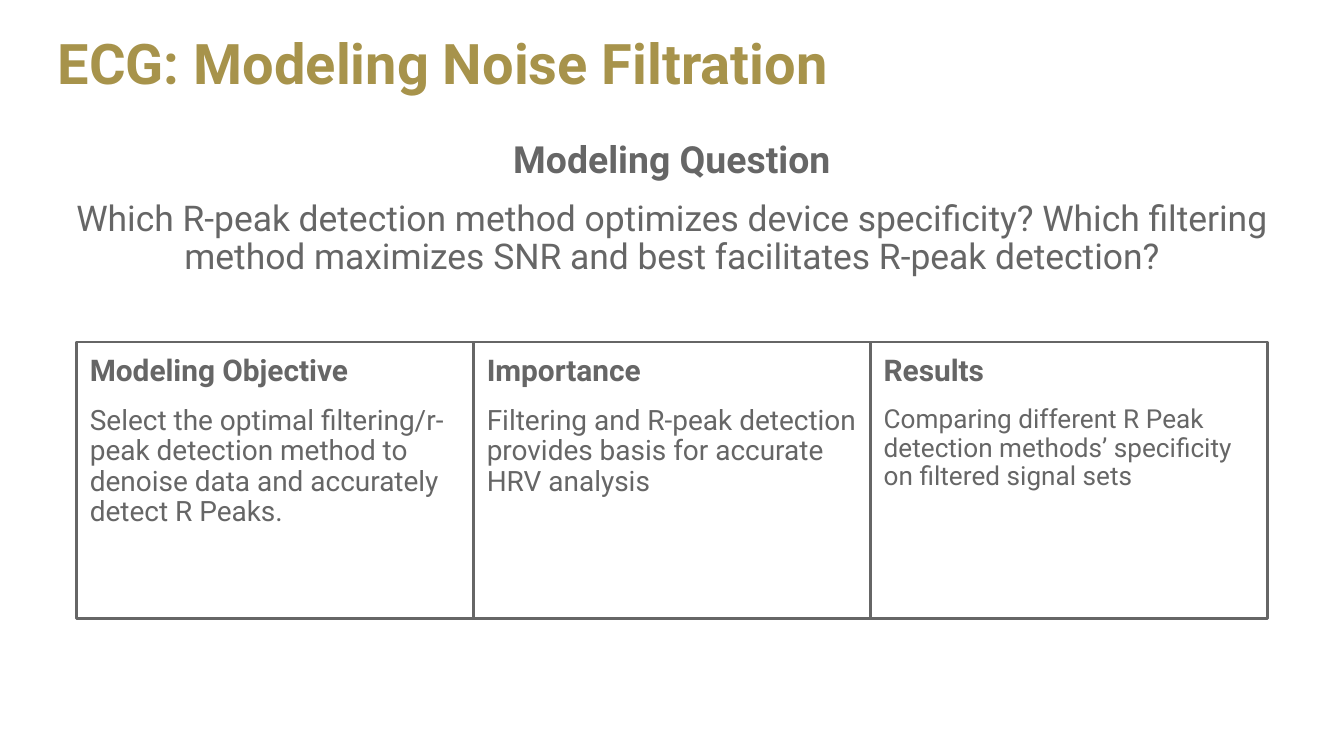
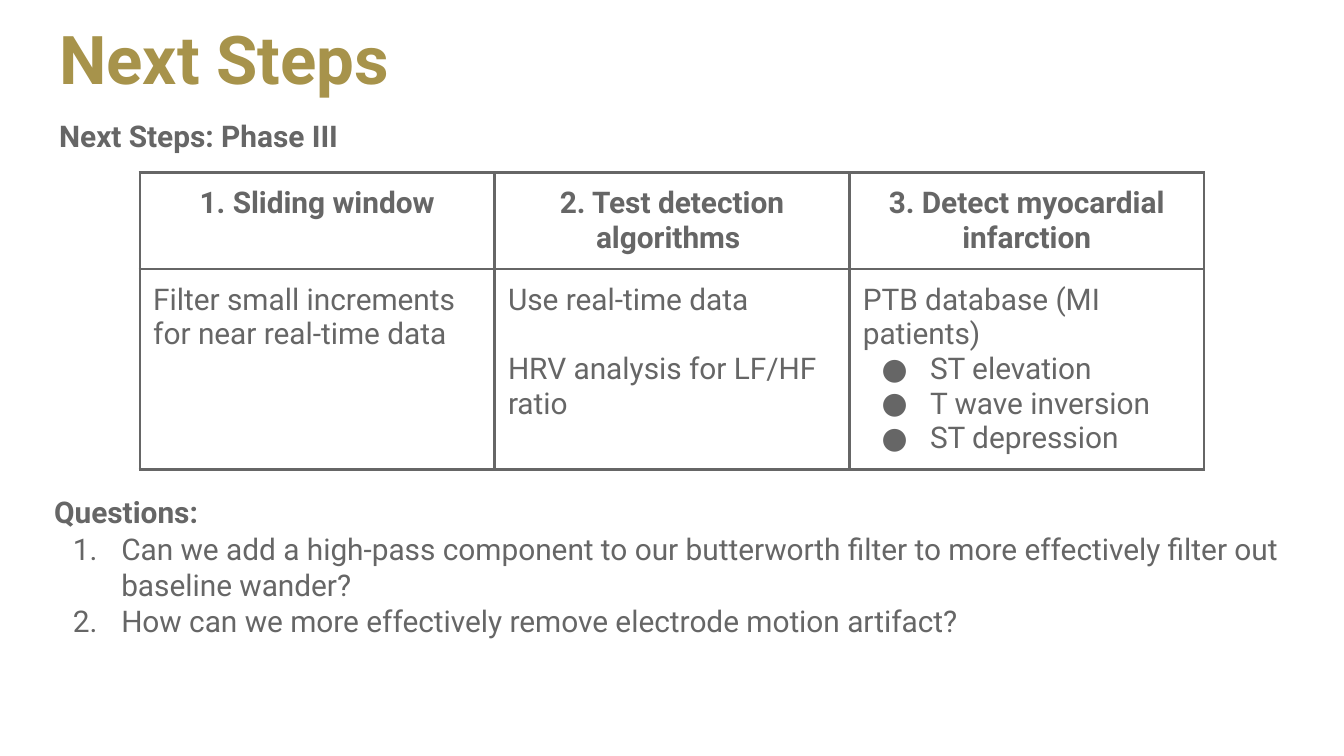
import dataclasses

import lxml.etree
import pptx
import pptx.dml.color
import pptx.enum.shapes
import pptx.enum.text
import pptx.oxml.ns
import pptx.util

ALIGN = pptx.enum.text.PP_ALIGN
ANCHOR = pptx.enum.text.MSO_ANCHOR


@dataclasses.dataclass(frozen=True)
class Theme:
    """Colours, type and spacing shared by the slides."""
    font: str = "Roboto"
    gold: str = "A7934B"
    gray: str = "666666"
    title: int = 30
    title_large: int = 36
    question: int = 20
    question_body: int = 19
    text: int = 16
    card_body: int = 15
    card_small: int = 14
    line: float = 1.5
    inset: float = 0.1
    tight: float = 0.9
    gap: int = 10


@dataclasses.dataclass(frozen=True)
class Box:
    """A region measured in columns and rows of the slide grid."""
    left: float
    top: float
    width: float
    height: float

    def columns(self, count):
        """Split the region into equal columns."""
        width = self.width / count
        return [Box(self.left + index * width, self.top, width, self.height)
                for index in range(count)]

    def lengths(self):
        """Return left, top, width and height as slide lengths."""
        return [pptx.util.Inches(value * GRID)
                for value in (self.left, self.top, self.width, self.height)]


@dataclasses.dataclass(frozen=True)
class Line:
    """One paragraph and how it is set."""
    text: str
    size: int
    bold: bool = False
    align: ALIGN = ALIGN.LEFT
    spacing: float = 1.0
    before: float = 0
    bullet: str = ""
    color: str = ""


THEME = Theme()
GRID = 0.1
PAGE = Box(0, 0, 100, 100 * 9 / 16)


def rgb(value):
    """Turn a hex string into a colour."""
    return pptx.dml.color.RGBColor.from_string(value)


def add_element(parent, tag, **attributes):
    """Append a drawing element with attributes."""
    return lxml.etree.SubElement(parent, pptx.oxml.ns.qn(tag), attributes)


def set_bullet(paragraph, bullet):
    """Give a paragraph a hanging bullet or an automatic number."""
    properties = paragraph._p.get_or_add_pPr()
    properties.set("marL", str(pptx.util.Inches(0.5)))
    properties.set("indent", str(pptx.util.Inches(-0.36)))
    add_element(add_element(properties, "a:buClr"), "a:srgbClr", val=THEME.gray)
    add_element(properties, "a:buFont", typeface=THEME.font)
    if bullet == "1.":
        add_element(properties, "a:buAutoNum", type="arabicPeriod")
    else:
        add_element(properties, "a:buChar", char=bullet)


def write_lines(text_frame, lines):
    """Write each line as a paragraph with one run."""
    for index, line in enumerate(lines):
        paragraph = text_frame.add_paragraph() if index else text_frame.paragraphs[0]
        if line.bullet:
            set_bullet(paragraph, line.bullet)
        paragraph.alignment = line.align
        paragraph.line_spacing = line.spacing
        paragraph.space_before = pptx.util.Pt(line.before)
        run = paragraph.add_run()
        run.text = line.text
        run.font.name = THEME.font
        run.font.size = pptx.util.Pt(line.size)
        run.font.bold = line.bold
        run.font.color.rgb = rgb(line.color or THEME.gray)


def fill_frame(text_frame, lines, inset, anchor=ANCHOR.TOP):
    """Set up a wrapping text frame and write its lines."""
    text_frame.word_wrap = True
    text_frame.auto_size = pptx.enum.text.MSO_AUTO_SIZE.NONE
    text_frame.vertical_anchor = anchor
    text_frame.margin_left = text_frame.margin_right = pptx.util.Inches(THEME.inset)
    text_frame.margin_top = text_frame.margin_bottom = pptx.util.Inches(inset)
    write_lines(text_frame, lines)


def add_titled_slide(presentation, box, text, size):
    """Add a slide and format its title placeholder."""
    slide = presentation.slides.add_slide(presentation.slide_layouts[5])
    title = slide.shapes.title
    title.left, title.top, title.width, title.height = box.lengths()
    line = Line(text, size, True, spacing=THEME.tight, color=THEME.gold)
    fill_frame(title.text_frame, [line], THEME.inset / 2, ANCHOR.MIDDLE)
    return slide


def add_text(slide, box, lines, inset=THEME.inset / 2):
    """Add a plain text box."""
    fill_frame(slide.shapes.add_textbox(*box.lengths()).text_frame, lines, inset)


def add_cards(slide, box, cards):
    """Add a row of equal outlined cards with a heading and a body."""
    for card_box, (heading, body, size) in zip(box.columns(len(cards)), cards):
        card = slide.shapes.add_shape(
            pptx.enum.shapes.MSO_SHAPE.RECTANGLE, *card_box.lengths())
        card.shadow.inherit = False
        card.fill.background()
        card.line.color.rgb = rgb(THEME.gray)
        card.line.width = pptx.util.Pt(THEME.line)
        fill_frame(card.text_frame, [
            Line(heading, THEME.text, True, spacing=THEME.tight),
            Line(body, size, spacing=THEME.tight, before=THEME.gap),
        ], THEME.inset)


def set_borders(cell):
    """Draw all four borders of a table cell."""
    properties = cell._tc.get_or_add_tcPr()
    for side in ("a:lnL", "a:lnR", "a:lnT", "a:lnB"):
        border = add_element(properties, side, w=str(pptx.util.Pt(THEME.line)))
        add_element(add_element(border, "a:solidFill"), "a:srgbClr", val=THEME.gray)


def add_steps_table(slide, box, heights, rows):
    """Add a bordered table from rows of cell lines."""
    table = slide.shapes.add_table(len(rows), len(rows[0]), *box.lengths()).table
    table.first_row = table.horz_banding = False
    for row, height, cells in zip(table.rows, heights, rows):
        row.height = pptx.util.Inches(height * GRID)
        for cell, lines in zip(row.cells, cells):
            set_borders(cell)
            cell.fill.background()
            cell.margin_left = cell.margin_right = pptx.util.Inches(THEME.inset)
            cell.margin_top = cell.margin_bottom = pptx.util.Inches(THEME.inset)
            write_lines(cell.text_frame, lines)


def build_modeling_slide(presentation):
    """Build the slide on the modeling question."""
    slide = add_titled_slide(presentation, Box(3.3, 1.7, 93.5, 6.5),
                             "ECG: Modeling Noise Filtration", THEME.title)
    add_text(slide, Box(3.25, 10.05, 93.5, 39.6), [
        Line("Modeling Question", THEME.question, True, ALIGN.CENTER, THEME.tight),
        Line("Which R-peak detection method optimizes device specificity? "
             "Which filtering method maximizes SNR and best facilitates "
             "R-peak detection?", THEME.question_body, False, ALIGN.CENTER,
             THEME.tight, THEME.gap),
    ])
    add_cards(slide, Box(5.7, 25.45, 88.6, 20.6), [
        ("Modeling Objective",
         "Select the optimal filtering/r-peak detection method to denoise data "
         "and accurately detect R Peaks.", THEME.card_body),
        ("Importance",
         "Filtering and R-peak detection provides basis for accurate HRV analysis",
         THEME.card_body),
        ("Results",
         "Comparing different R Peak detection methods’ specificity on filtered "
         "signal sets", THEME.card_small),
    ])


def build_next_steps_slide(presentation):
    """Build the slide on next steps and open questions."""
    slide = add_titled_slide(presentation, Box(3.4, 1.5, 93.2, 6.3),
                             "Next Steps", THEME.title_large)
    size = THEME.text
    add_text(slide, Box(3.42, 7.75, 77, 4.1),
             [Line("Next Steps: Phase III", size, True)], THEME.inset)
    headings = ("1. Sliding window", "2. Test detection algorithms ",
                "3. Detect myocardial infarction")
    findings = ("ST elevation", "T wave inversion", "ST depression")
    add_steps_table(slide, Box(10.4, 12.85, 79.2, 22), (7.1, 14.9), [
        [[Line(heading, size, True, ALIGN.CENTER)] for heading in headings],
        [
            [Line("Filter small increments for near real-time data", size)],
            [Line("Use real-time data", size),
             Line("HRV analysis for LF/HF ratio", size, before=18.75)],
            [Line("PTB database (MI patients)", size),
             *(Line(finding, size, bullet="●") for finding in findings)],
        ],
    ])
    questions = (
        "Can we add a high-pass component to our butterworth filter to more "
        "effectively filter out baseline wander?",
        "How can we more effectively remove electrode motion artifact?")
    spacing = 1.01
    add_text(slide, Box(3.04, 36.25, 93.2, 17.5), [
        Line("Questions:", size, True, spacing=spacing),
        *(Line(question, size, spacing=spacing, bullet="1.")
          for question in questions),
    ])


def main():
    """Build and save the presentation."""
    presentation = pptx.Presentation()
    presentation.slide_width, presentation.slide_height = PAGE.lengths()[2:]
    build_modeling_slide(presentation)
    build_next_steps_slide(presentation)
    presentation.save("out.pptx")


if __name__ == "__main__":
    main()
